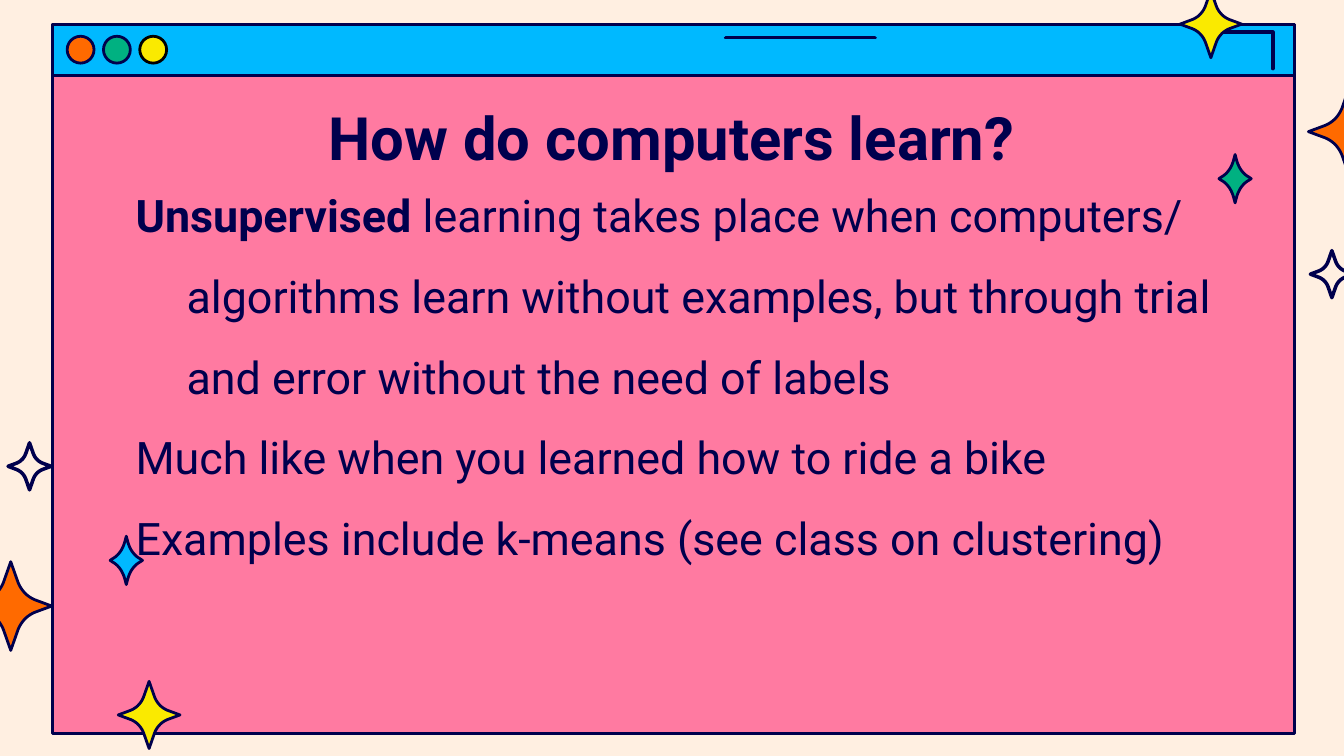
from lxml.etree import SubElement
from pptx import Presentation
from pptx.dml.color import RGBColor
from pptx.enum.shapes import MSO_SHAPE
from pptx.enum.text import PP_ALIGN
from pptx.oxml.ns import qn
from pptx.util import Inches, Pt

THEME = {
    "font": "Roboto", "title": 32, "body": 24,
    "cream": "FFEFE1", "pink": "FF7AA1", "blue": "00B9FF", "navy": "00004D",
    "green": "00B181", "gold": "FAEA00", "orange": "FF6A00", "black": "000000",
}
WIDTH = 10
HEIGHT = WIDTH * 9 / 16
TITLE = [[("How do computers learn?", True)]]
BODY = [
    [("Unsupervised", True),
     (" learning takes place when computers/ algorithms learn without examples, "
      "but through trial and error without the need of labels", False)],
    [("Much like when you learned how to ride a bike", False)],
    [("Examples include k-means (see class on clustering)", False)],
]
PANES = [("pink", 5.28), ("blue", 0.38)]
DOTS = [("orange", "navy"), ("green", "navy"), ("gold", "black")]
MARKS = [
    [(9.09, 0.24), (9.47, 0.24), (9.47, 0.51)],
    [(5.4, 0.28), (6.51, 0.28)],
]
WIDE = [(0.16, -0.58), (0.23, -0.38), (0.38, -0.22), (0.59, -0.14)]
SLIM = [(0.1, -0.75), (0.22, -0.47), (0.47, -0.2), (0.87, -0.06)]
SIZES = {
    "slim": (0.24, 0.36, SLIM, 1.5),
    "ring": (0.32, 0.35, WIDE, 1.9),
    "mid": (0.46, 0.5, WIDE, 1.5),
    "big": (0.61, 0.66, WIDE, 1.5),
}
STARS = [
    ("slim", "blue", 0.94, 4.17), ("ring", None, 0.22, 3.47),
    ("mid", "gold", 1.11, 5.32), ("big", "orange", 0.08, 4.51),
    ("slim", "green", 9.19, 1.33), ("ring", None, 9.91, 2.04),
    ("mid", "gold", 9.01, 0.18), ("big", "orange", 10.04, 0.98),
]


def tint(name):
    return RGBColor.from_string(THEME[name])


def paint(shape, fill, line="navy", width=1.5):
    shape.shadow.inherit = False
    if fill:
        shape.fill.solid()
        shape.fill.fore_color.rgb = tint(fill)
    else:
        shape.fill.background()
    shape.line.color.rgb = tint(line)
    shape.line.width = Pt(width)
    edge = shape.line._get_or_add_ln()
    edge.set("cap", "rnd")
    SubElement(edge, qn("a:round"))


def trace(slide, points, closed):
    spots = [(Inches(x), Inches(y)) for x, y in points]
    pen = slide.shapes.build_freeform(*spots[0])
    pen.add_line_segments(spots[1:], close=closed)
    return pen.convert_to_shape()


def curve(ends, steps=10):
    for i in range(steps + 1):
        t = i / steps
        parts = ((1 - t) ** 3, 3 * t * (1 - t) ** 2, 3 * t * t * (1 - t), t ** 3)
        yield tuple(sum(w * p[k] for w, p in zip(parts, ends)) for k in (0, 1))


def star(slide, kind, fill, mid_x, mid_y):
    wide, high, ends, width = SIZES[kind]
    arm = [(0, -1), *curve(ends), (1, 0)]
    half = arm + [(x, -y) for x, y in arm[-2::-1]]
    ring = half + [(-x, y) for x, y in half[-2:0:-1]]
    points = [(mid_x + x * wide / 2, mid_y + y * high / 2) for x, y in ring]
    paint(trace(slide, points, True), fill, width=width)


def write(slide, area, paras, size, align=PP_ALIGN.LEFT, gap=1, hang=None):
    frame = slide.shapes.add_textbox(*map(Inches, area)).text_frame
    frame.word_wrap = True
    frame.margin_left = frame.margin_right = Inches(0.1)
    frame.margin_top = frame.margin_bottom = Inches(0.1)
    for i, runs in enumerate(paras):
        para = frame.add_paragraph() if i else frame.paragraphs[0]
        para.alignment = align
        para.line_spacing = gap
        if hang:
            props = para._p.get_or_add_pPr()
            props.set("marL", str(Inches(hang[0])))
            props.set("indent", str(Inches(hang[1])))
        for text, bold in runs:
            run = para.add_run()
            run.text = text
            run.font.name = THEME["font"]
            run.font.size = Pt(THEME[size])
            run.font.bold = bold
            run.font.color.rgb = tint("navy")


def main():
    deck = Presentation()
    deck.slide_width, deck.slide_height = Inches(WIDTH), Inches(HEIGHT)
    slide = deck.slides.add_slide(deck.slide_layouts[6])
    slide.background.fill.solid()
    slide.background.fill.fore_color.rgb = tint("cream")
    for fill, high in PANES:
        area = map(Inches, (0.39, 0.18, 9.24, high))
        paint(slide.shapes.add_shape(MSO_SHAPE.RECTANGLE, *area), fill)
    for points in MARKS:
        paint(trace(slide, points, False), None, width=2)
    for i, (fill, line) in enumerate(DOTS):
        area = map(Inches, (0.5 + i * 0.27, 0.27, 0.2, 0.2))
        paint(slide.shapes.add_shape(MSO_SHAPE.OVAL, *area), fill, line)
    write(slide, (0.77, 0.65, 8.46, 0.63), TITLE, "title", PP_ALIGN.CENTER)
    for item in STARS:
        star(slide, *item)
    write(slide, (0.79, 1.1, 8.91, 3.51), BODY, "body", gap=1.5, hang=(0.5, -0.38))
    deck.save("out.pptx")


if __name__ == "__main__":
    main()
